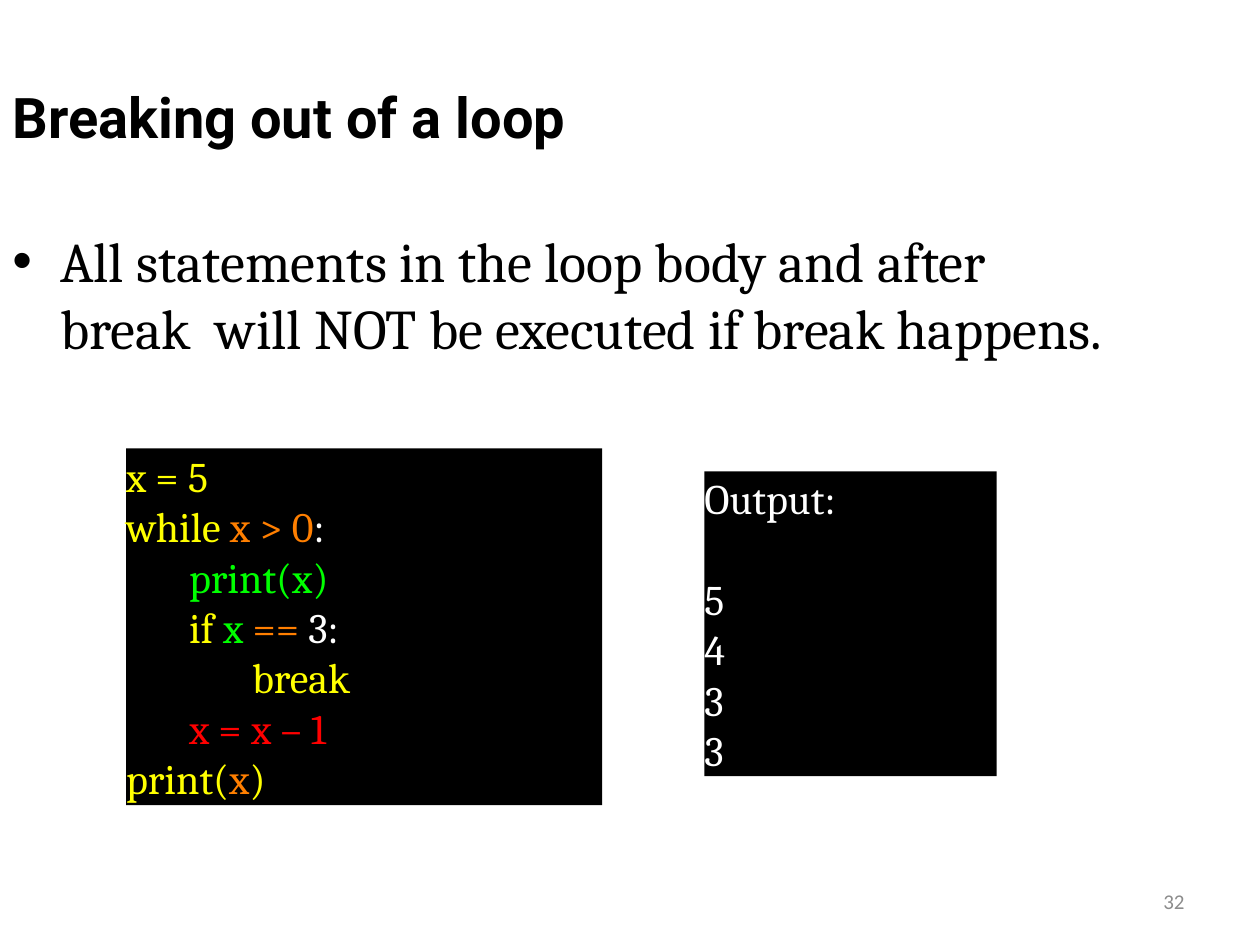
from dataclasses import dataclass

from lxml import etree
from pptx import Presentation
from pptx.dml.color import RGBColor
from pptx.enum.shapes import MSO_SHAPE
from pptx.enum.text import MSO_ANCHOR, MSO_AUTO_SIZE, PP_ALIGN
from pptx.oxml.ns import qn
from pptx.util import Pt

PX = 9144  # 100 px to the inch
RECT = MSO_SHAPE.RECTANGLE
TOP, MID = MSO_ANCHOR.TOP, MSO_ANCHOR.MIDDLE
GROW = MSO_AUTO_SIZE.SHAPE_TO_FIT_TEXT
LEFT, RIGHT = PP_ALIGN.LEFT, PP_ALIGN.RIGHT

BLACK = RGBColor(0x00, 0x00, 0x00)
WHITE = RGBColor(0xFF, 0xFF, 0xFF)
GREY = RGBColor(0x8C, 0x8C, 0x8C)
YELLOW = RGBColor(0xFF, 0xFF, 0x00)
ORANGE = RGBColor(0xFF, 0x7F, 0x00)
GREEN = RGBColor(0x00, 0xFF, 0x00)
RED = RGBColor(0xFF, 0x00, 0x00)

TAB = 50  # one level of code indent
HANG = 38  # bullet to text
LINE = Pt(28.8)  # one line of code


@dataclass
class Box:
    left: int
    top: int
    width: int
    height: int

    def emu(self) -> list[int]:
        return [n * PX for n in (self.left, self.top, self.width, self.height)]


@dataclass
class Line:
    runs: list[tuple[str, RGBColor]]
    level: int = 0
    gap: int = 0


def add_run(para, text: str, color: RGBColor, style: dict) -> None:
    run = para.add_run()
    run.text = text
    for key, value in style.items():
        setattr(run.font, key, value)
    run.font.color.rgb = color


def add_label(slide, box: Box, text: str, color: RGBColor, style: dict,
              anchor=MID, align=LEFT):
    frame = slide.shapes.add_textbox(*box.emu()).text_frame
    frame.word_wrap = True
    frame.vertical_anchor = anchor
    para = frame.paragraphs[0]
    para.alignment = align
    add_run(para, text, color, style)
    return para


def indent(para, left: int, first: int = 0):
    props = para._p.get_or_add_pPr()
    props.set("marL", str(left * PX))
    props.set("indent", str(first * PX))
    return props


def add_bullet(para) -> None:
    props = indent(para, HANG, -HANG)
    etree.SubElement(props, qn("a:buFont")).set("typeface", "Arial")
    etree.SubElement(props, qn("a:buChar")).set("char", "•")


def add_panel(slide, box: Box, lines: list[Line]) -> None:
    shape = slide.shapes.add_shape(RECT, *box.emu())
    shape.shadow.inherit = False
    shape.fill.solid()
    shape.fill.fore_color.rgb = BLACK
    shape.line.fill.background()
    frame = shape.text_frame
    for key, value in PANEL.items():
        setattr(frame, key, value)
    for i, line in enumerate(lines):
        para = frame.add_paragraph() if i else frame.paragraphs[0]
        para.alignment = LEFT
        if line.level:
            indent(para, line.level * TAB)
        if line.gap:
            para.space_before = line.gap
        for text, color in line.runs:
            add_run(para, text, color, CODE)


# Formats
HEAD = {"name": "Roboto", "size": Pt(32), "bold": True}
BODY = {"name": "Cambria", "size": Pt(32)}
CODE = {"name": "Cambria", "size": Pt(24)}
FOOT = {"name": "Calibri", "size": Pt(12)}
PANEL = {"margin_left": 0, "margin_top": 0, "margin_right": 0,
         "margin_bottom": 0, "word_wrap": True, "vertical_anchor": MID,
         "auto_size": GROW}

# Panel text
LOOP = [
    Line([("x = 5", YELLOW)]),
    Line([("while ", YELLOW), ("x > 0", ORANGE), (":", WHITE)]),
    Line([("print(x)", GREEN)], 1),
    Line([("if ", YELLOW), ("x ", GREEN), ("== ", ORANGE), ("3:", WHITE)], 1),
    Line([("break", YELLOW)], 2),
    Line([("x = x – 1", RED)], 1),
    Line([("print(", YELLOW), ("x", ORANGE), (")", YELLOW)]),
]
OUTPUT = [Line([("Output:", WHITE)]), Line([("5", WHITE)], gap=LINE)]
OUTPUT += [Line([(text, WHITE)]) for text in "433"]


def main() -> None:
    deck = Presentation()
    deck.slide_width, deck.slide_height = 1000 * PX, 750 * PX
    slide = deck.slides.add_slide(deck.slide_layouts[6])

    # Title, page number and bullet
    add_label(slide, Box(0, 30, 900, 125), "Breaking out of a loop", BLACK, HEAD)
    add_label(slide, Box(717, 695, 233, 40), "32", GREY, FOOT, align=RIGHT)
    point = add_label(
        slide, Box(0, 175, 900, 495),
        "All statements in the loop body and after break  will NOT be "
        "executed if break happens.", BLACK, BODY, TOP)
    add_bullet(point)

    # Code and its output
    add_panel(slide, Box(100, 356, 378, 283), LOOP)
    add_panel(slide, Box(559, 374, 232, 242), OUTPUT)

    deck.save("out.pptx")


if __name__ == "__main__":
    main()
